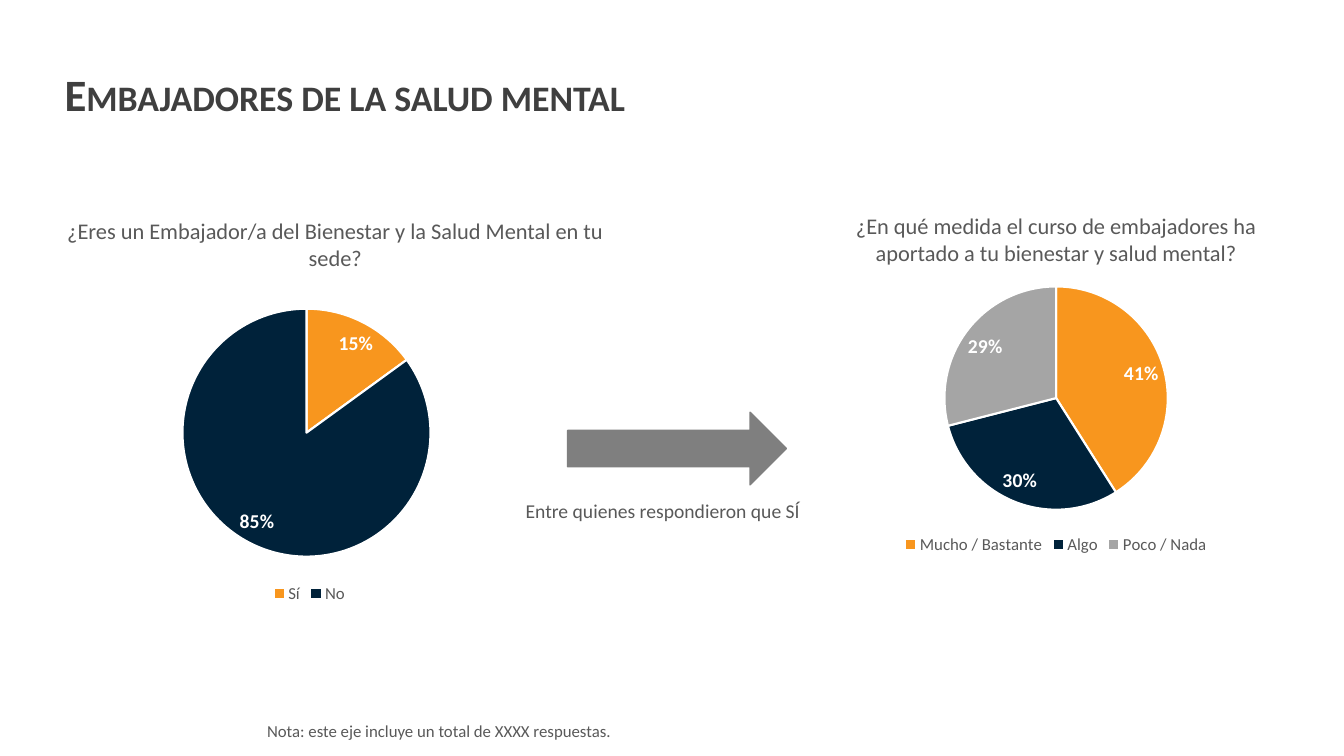
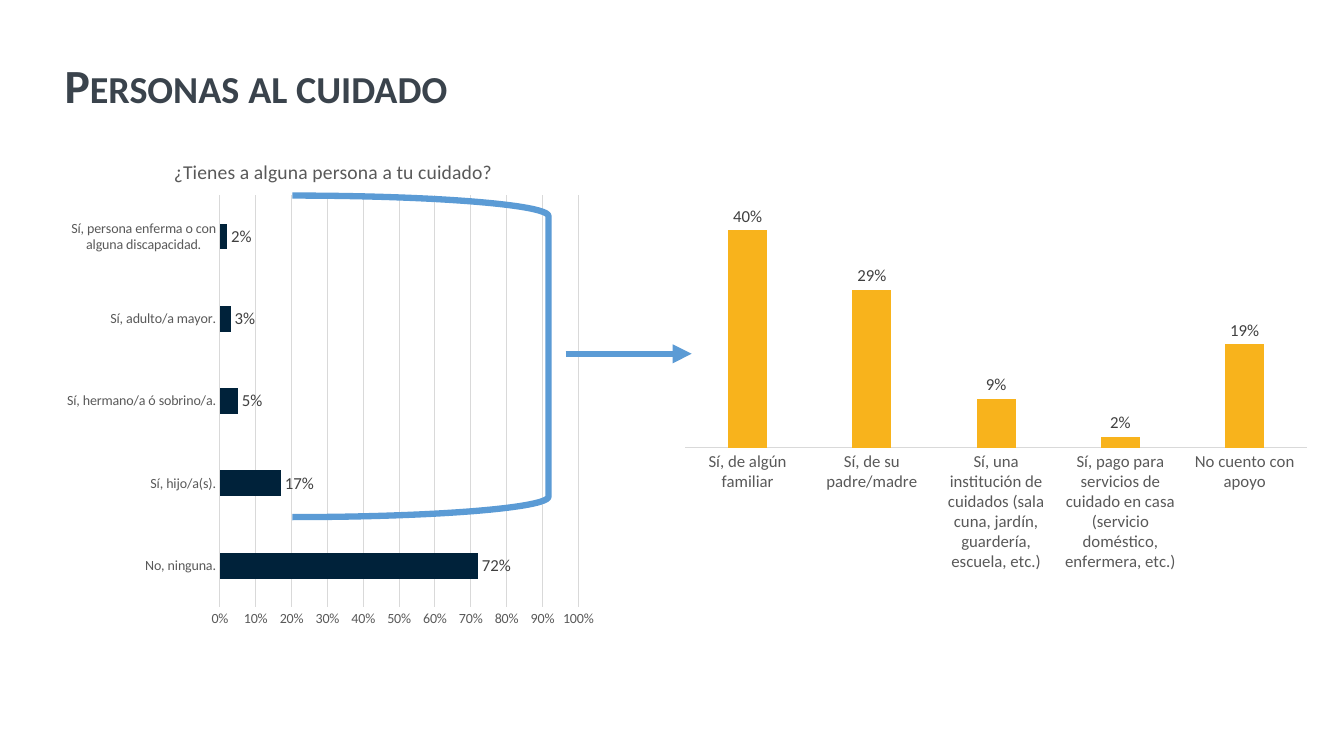
from dataclasses import dataclass

from lxml import etree
from pptx import Presentation
from pptx.chart.data import CategoryChartData
from pptx.dml.color import RGBColor
from pptx.enum.chart import XL_CHART_TYPE, XL_LABEL_POSITION, XL_LEGEND_POSITION, XL_TICK_MARK
from pptx.enum.shapes import MSO_CONNECTOR, MSO_SHAPE
from pptx.enum.text import MSO_ANCHOR, MSO_AUTO_SIZE, PP_ALIGN
from pptx.oxml.ns import qn
from pptx.util import Emu, Pt

PIE = XL_CHART_TYPE.PIE
COLUMN = XL_CHART_TYPE.COLUMN_CLUSTERED
BAR = XL_CHART_TYPE.BAR_CLUSTERED
BEST_FIT = XL_LABEL_POSITION.BEST_FIT
OUTSIDE_END = XL_LABEL_POSITION.OUTSIDE_END
LEGEND_BOTTOM = XL_LEGEND_POSITION.BOTTOM
NO_TICK = XL_TICK_MARK.NONE
LEFT, CENTER = PP_ALIGN.LEFT, PP_ALIGN.CENTER
TOP, MIDDLE = MSO_ANCHOR.TOP, MSO_ANCHOR.MIDDLE
PX = 9144


@dataclass(frozen=True)
class Theme:
    font: str = "Calibri"
    text: RGBColor = RGBColor(0x59, 0x59, 0x59)
    value: RGBColor = RGBColor(0x40, 0x40, 0x40)
    title: RGBColor = RGBColor(0x3F, 0x3F, 0x3F)
    slate: RGBColor = RGBColor(0x3A, 0x43, 0x4C)
    white: RGBColor = RGBColor(0xFF, 0xFF, 0xFF)
    orange: RGBColor = RGBColor(0xF8, 0x96, 0x1E)
    navy: RGBColor = RGBColor(0x00, 0x22, 0x3A)
    silver: RGBColor = RGBColor(0xA5, 0xA5, 0xA5)
    yellow: RGBColor = RGBColor(0xF8, 0xB3, 0x1C)
    arrow: RGBColor = RGBColor(0x7F, 0x7F, 0x7F)
    blue: RGBColor = RGBColor(0x5B, 0x9B, 0xD5)
    grid: RGBColor = RGBColor(0xD9, 0xD9, 0xD9)
    tiny: int = 10
    small: int = 12
    medium: int = 14
    large: int = 16
    heading: int = 32
    big_heading: int = 34


theme = Theme()


def write(box, text, at, size, color=theme.text, bold=False, align=CENTER, anchor=TOP,
          spacing=1.0, small_caps=False):
    box.left, box.top, box.width, box.height = [Emu(n * PX) for n in at]
    frame = box.text_frame
    frame.word_wrap = True
    frame.auto_size = MSO_AUTO_SIZE.NONE
    frame.vertical_anchor = anchor
    para = frame.paragraphs[0]
    para.alignment = align
    para.line_spacing = spacing
    span = para.add_run()
    span.text = text
    span.font.name = theme.font
    span.font.size = Pt(size)
    span.font.bold = bold
    span.font.color.rgb = color
    if small_caps:
        span.font._element.set("cap", "small")


def add_chart(page, kind, at, values, colors, plot_at, title=None, title_at=None):
    data = CategoryChartData(number_format="0%")
    data.categories = list(values)
    data.add_series("Series 1", list(values.values()))
    chart = page.shapes.add_chart(kind, *[Emu(n * PX) for n in at], data).chart
    chart.font.name = theme.font
    chart.font.size = Pt(theme.small)
    chart.font.color.rgb = theme.text
    chart.has_legend = kind == PIE
    chart.has_title = title is not None
    plot = chart.plots[0]
    plot.vary_by_categories = kind == PIE
    plot.has_data_labels = True
    labels = plot.data_labels
    labels.show_value = True
    labels.show_percentage = False
    labels.number_format = "0%"
    labels.number_format_is_linked = False
    labels.position = BEST_FIT if kind == PIE else OUTSIDE_END
    labels.font.name = theme.font
    labels.font.size = Pt(theme.medium if kind == PIE else theme.small)
    labels.font.bold = kind == PIE
    labels.font.color.rgb = theme.white if kind == PIE else theme.value
    series = plot.series[0]

    if kind == PIE:
        chart.legend.position = LEGEND_BOTTOM
        chart.legend.include_in_layout = False
        for index, color in enumerate(colors):
            slice_format = series.points[index].format
            slice_format.fill.solid()
            slice_format.fill.fore_color.rgb = color
            slice_format.line.color.rgb = theme.white
            slice_format.line.width = Pt(1.5)
    else:
        series.format.fill.solid()
        series.format.fill.fore_color.rgb = colors[0]
        plot.gap_width = 219
        chart.category_axis.major_tick_mark = NO_TICK
        chart.category_axis.format.line.color.rgb = theme.grid
        chart.category_axis.format.line.width = Pt(0.75)
        chart.value_axis.major_tick_mark = NO_TICK
        chart.value_axis.minimum_scale = 0

    regions = [(chart._chartSpace.chart.plotArea, plot_at)]
    if title:
        para = chart.chart_title.text_frame.paragraphs[0]
        span = para.add_run()
        span.text = title
        span.font.name = theme.font
        span.font.size = Pt(theme.medium)
        span.font.bold = False
        span.font.color.rgb = theme.text
        regions.append((chart.chart_title._element, title_at))
    for element, region in regions:
        layout = element.find(qn("c:layout"))
        if layout is None:
            layout = etree.Element(qn("c:layout"))
            element.insert(0, layout)
        manual = etree.SubElement(layout, qn("c:manualLayout"))
        if len(region) == 4:
            etree.SubElement(manual, qn("c:layoutTarget")).set("val", "inner")
        for mode in ("xMode", "yMode"):
            etree.SubElement(manual, qn(f"c:{mode}")).set("val", "edge")
        for name, amount in zip("xywh", region):
            etree.SubElement(manual, qn(f"c:{name}")).set("val", str(amount))
    return chart


deck = Presentation()
deck.slide_width, deck.slide_height = Emu(1333 * PX), Emu(750 * PX)
title_only = deck.slide_layouts[5]

pages = []
for text, at, size, color in [
    ("Embajadores de la salud mental", (54, 24, 1273, 145), theme.heading, theme.title),
    ("Personas al cuidado", (54, 40, 1273, 94), theme.big_heading, theme.slate),
]:
    page = deck.slides.add_slide(title_only)
    write(page.shapes.title, text, at, size, color, bold=True, align=LEFT,
          anchor=MIDDLE, spacing=0.9, small_caps=True)
    pages.append(page)
ambassadors, carers = pages

for text, at, size, align in [
    ("¿Eres un Embajador/a del Bienestar y la Salud Mental en tu sede?",
     (29, 211, 607, 37), theme.large, CENTER),
    ("Entre quienes respondieron que SÍ", (354, 490, 607, 34), theme.medium, CENTER),
    ("¿En qué medida el curso de embajadores ha aportado a tu bienestar y salud mental?",
     (829, 206, 437, 64), theme.large, CENTER),
    ("Nota: este eje incluye un total de XXXX respuestas.",
     (255, 710, 738, 30), theme.small, LEFT),
]:
    write(ambassadors.shapes.add_textbox(0, 0, 0, 0), text, at, size, align=align)

add_chart(ambassadors, PIE, (7, 269, 600, 334), {"Sí": 0.15, "No": 0.85},
          [theme.orange, theme.navy], (0.29, 0.11, 0.41, 0.74))
add_chart(ambassadors, PIE, (792, 270, 511, 284),
          {"Mucho / Bastante": 0.41, "Algo": 0.3, "Poco / Nada": 0.29},
          [theme.orange, theme.navy, theme.silver], (0.28, 0.05, 0.44, 0.78))

arrow = ambassadors.shapes.add_shape(
    MSO_SHAPE.RIGHT_ARROW, *[Emu(n * PX) for n in (563, 409, 217, 72)])
arrow.shadow.inherit = False
arrow.fill.solid()
arrow.fill.fore_color.rgb = theme.arrow
arrow.line.color.rgb = theme.arrow
arrow.line.width = Pt(1)

support = add_chart(carers, COLUMN, (667, 194, 642, 379), {
    "Sí, de algún familiar": 0.4,
    "Sí, de su padre/madre": 0.29,
    "Sí, una institución de cuidados (sala cuna, jardín, guardería, escuela, etc.)": 0.09,
    "Sí, pago para servicios de cuidado en casa (servicio doméstico, enfermera, etc.)": 0.02,
    "No cuento con apoyo": 0.19,
}, [theme.yellow], (0.02, 0.02, 0.96, 0.64))
support.plots[0].overlap = -27
support.value_axis.maximum_scale = 0.45
support.value_axis.has_major_gridlines = False
support.value_axis.visible = False

care = add_chart(carers, BAR, (54, 134, 547, 498), {
    "No, ninguna.": 0.72,
    "Sí, hijo/a(s).": 0.17,
    "Sí, hermano/a ó sobrino/a.": 0.05,
    "Sí, adulto/a mayor.": 0.03,
    "Sí, persona enferma o con alguna discapacidad.": 0.02,
}, [theme.navy], (0.3, 0.12, 0.65, 0.82),
    title="¿Tienes a alguna persona a tu cuidado?", title_at=(0.21, 0.04))
care.value_axis.maximum_scale = 1
care.value_axis.major_unit = 0.1
care.value_axis.format.line.fill.background()
care.value_axis.major_gridlines.format.line.color.rgb = theme.grid
care.value_axis.major_gridlines.format.line.width = Pt(0.75)
for axis in (care.category_axis, care.value_axis):
    axis.tick_labels.font.name = theme.font
    axis.tick_labels.font.size = Pt(theme.tiny)
    axis.tick_labels.font.color.rgb = theme.text

bracket = carers.shapes.add_shape(
    MSO_SHAPE.RIGHT_BRACKET, *[Emu(n * PX) for n in (290, 194, 254, 319)])
bracket.shadow.inherit = False
bracket.adjustments[0] = 0.08
bracket.fill.background()
pointer = carers.shapes.add_connector(
    MSO_CONNECTOR.STRAIGHT, *[Emu(n * PX) for n in (561, 351, 686, 351)])
for stroke in (bracket, pointer):
    stroke.line.color.rgb = theme.blue
    stroke.line.width = Pt(4.5)
outline = pointer.line._get_or_add_ln()
etree.SubElement(outline, qn("a:tailEnd")).set("type", "triangle")
etree.SubElement(pointer._element.spPr, qn("a:effectLst"))

deck.save("out.pptx")
